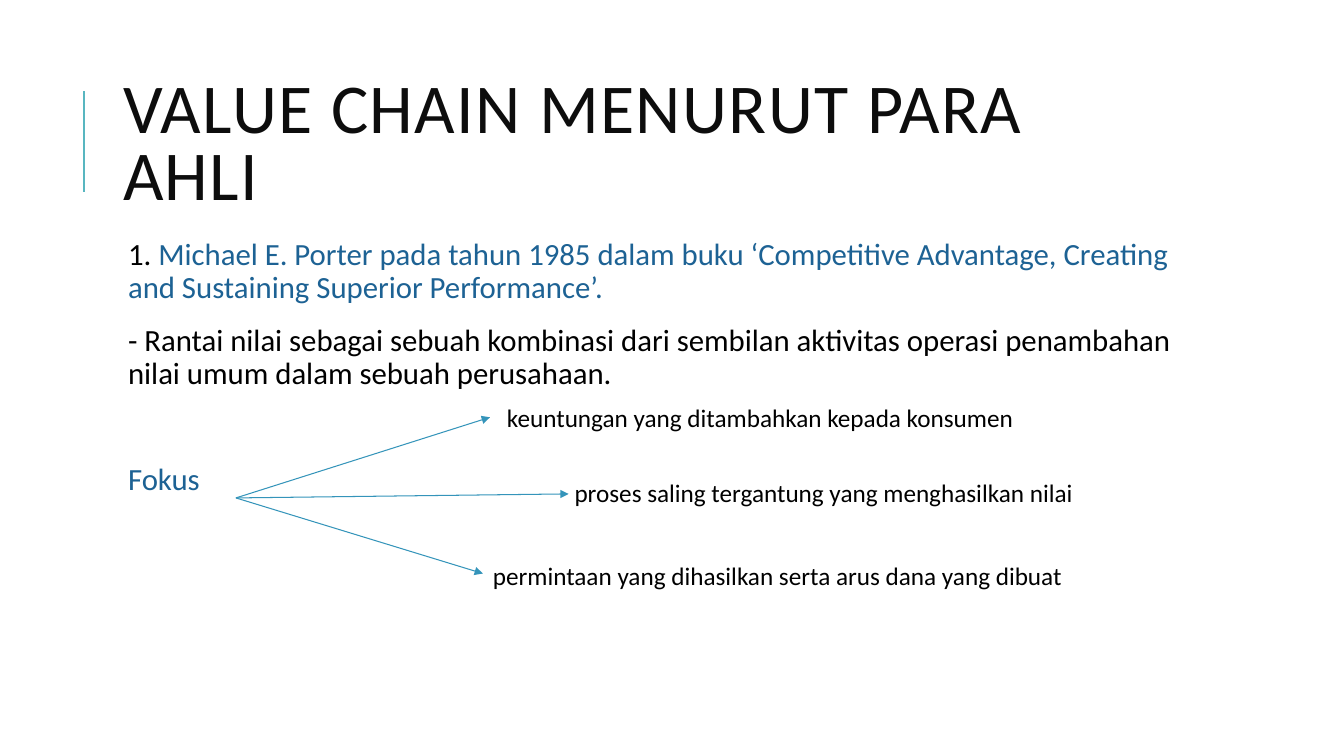
from pptx import Presentation, util as u
from pptx.dml.color import RGBColor
from pptx.enum import shapes, text
from pptx.oxml.ns import qn
from lxml import etree

TITLE = "VALUE CHAIN MENURUT PARA AHLI"
BLACK = RGBColor(0x00, 0x00, 0x00)
INK = RGBColor(0x0D, 0x0D, 0x0D)
BLUE = RGBColor(0x1D, 0x62, 0x94)
ARROW = RGBColor(0x34, 0x94, 0xBA)
TEAL = RGBColor(0x58, 0xB6, 0xC0)
FONT = "Calibri"

BODY = [
    (12, [("1. ", BLACK),
          ("Michael E. Porter pada tahun 1985 dalam buku ‘Competitive Advantage, "
           "Creating and Sustaining Superior Performance’.", BLUE)]),
    (12, [("- Rantai nilai sebagai sebuah kombinasi dari sembilan aktivitas operasi "
           "penambahan nilai umum dalam sebuah perusahaan.", BLACK)]),
    (50, [("Fokus", BLUE)]),
]
FOCUS = (2.34, 4.94)
BRANCHES = [
    ("keuntungan yang ditambahkan kepada konsumen", (4.86, 4.14), (4.93, 3.94, 5.47)),
    ("proses saling tergantung yang menghasilkan nilai", (5.64, 4.9), (5.6, 4.69, 5.47)),
    ("permintaan yang dihasilkan serta arus dana yang dibuat", (4.79, 5.69), (4.79, 5.51, 6.04)),
]
LEFT, WIDTH = 1.12, 10.63


def place(sp, x, y, w, h):
    sp.left, sp.top, sp.width, sp.height = map(u.Inches, (x, y, w, h))


def style(r, size, color):
    r.font.name, r.font.size = FONT, u.Pt(size)
    r.font.color.rgb = color


def add_line(s, start, end, color, width, arrow=False):
    c = s.shapes.add_connector(shapes.MSO_CONNECTOR.STRAIGHT, *map(u.Inches, start + end))
    c.line.color.rgb, c.line.width = color, u.Pt(width)
    if arrow:
        etree.SubElement(c.line._get_or_add_ln(), qn("a:tailEnd"), type="triangle")
    etree.SubElement(c._element.spPr, qn("a:effectLst"))


def add_title(s):
    sp = s.shapes.title
    place(sp, LEFT, 0.64, WIDTH, 1.64)
    tf = sp.text_frame
    tf.text = TITLE
    tf.auto_size = text.MSO_AUTO_SIZE.NONE
    tf.vertical_anchor = text.MSO_ANCHOR.MIDDLE
    p = tf.paragraphs[0]
    p.alignment, p.line_spacing = text.PP_ALIGN.LEFT, 0.8
    style(p.runs[0], 50, INK)
    p.runs[0].font._element.set("spc", "100")


def add_body(s):
    sp = s.placeholders[1]
    place(sp, LEFT, 2.32, WIDTH, 4.4)
    tf = sp.text_frame
    tf.auto_size = text.MSO_AUTO_SIZE.NONE
    tf.margin_left = tf.margin_right = tf.margin_top = tf.margin_bottom = u.Inches(0.05)
    for i, (before, runs) in enumerate(BODY):
        p = tf.add_paragraph() if i else tf.paragraphs[0]
        p.line_spacing, p.space_before, p.space_after = 0.9, u.Pt(before), u.Pt(2)
        pPr = p._p.get_or_add_pPr()
        pPr.set("marL", str(u.Inches(0.1)))
        pPr.set("indent", "0")
        etree.SubElement(pPr, qn("a:buNone"))
        for words, color in runs:
            r = p.add_run()
            r.text = words
            style(r, 22, color)


def add_branch(s, words, tip, box):
    add_line(s, FOCUS, tip, ARROW, 0.75, arrow=True)
    x, y, w = box
    tf = s.shapes.add_textbox(*map(u.Inches, (x, y, w, 0.4))).text_frame
    tf.word_wrap = True
    tf.auto_size = text.MSO_AUTO_SIZE.SHAPE_TO_FIT_TEXT
    tf.text = words
    style(tf.paragraphs[0].runs[0], 18, BLACK)


def main():
    prs = Presentation()
    prs.slide_width, prs.slide_height = u.Inches(13.33), u.Inches(7.5)
    s = prs.slides.add_slide(prs.slide_layouts[1])
    add_line(s, (0.83, 1.9), (0.83, 0.9), TEAL, 1.5)
    add_title(s)
    add_body(s)
    for branch in BRANCHES:
        add_branch(s, *branch)
    prs.save("out.pptx")


if __name__ == "__main__":
    main()
